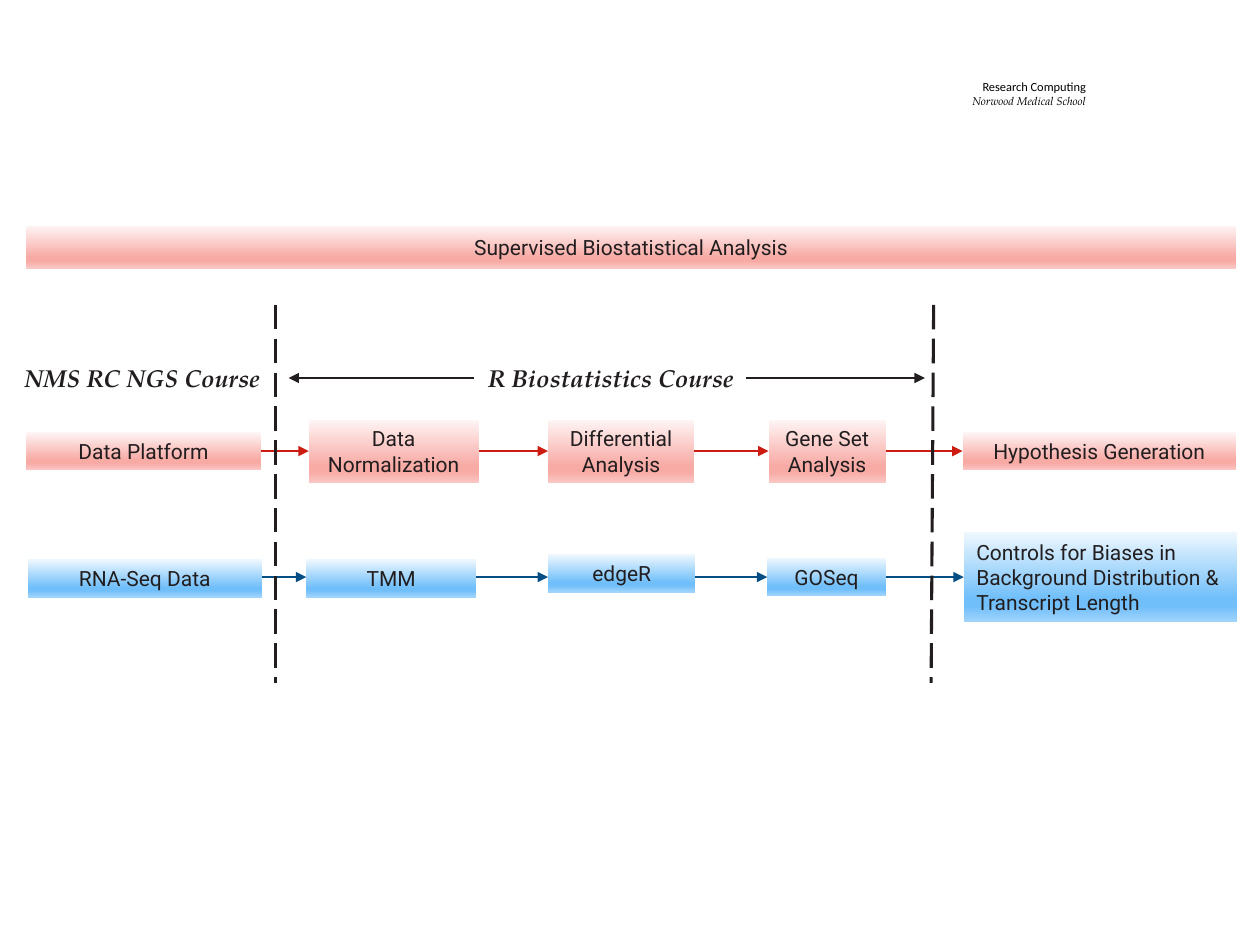
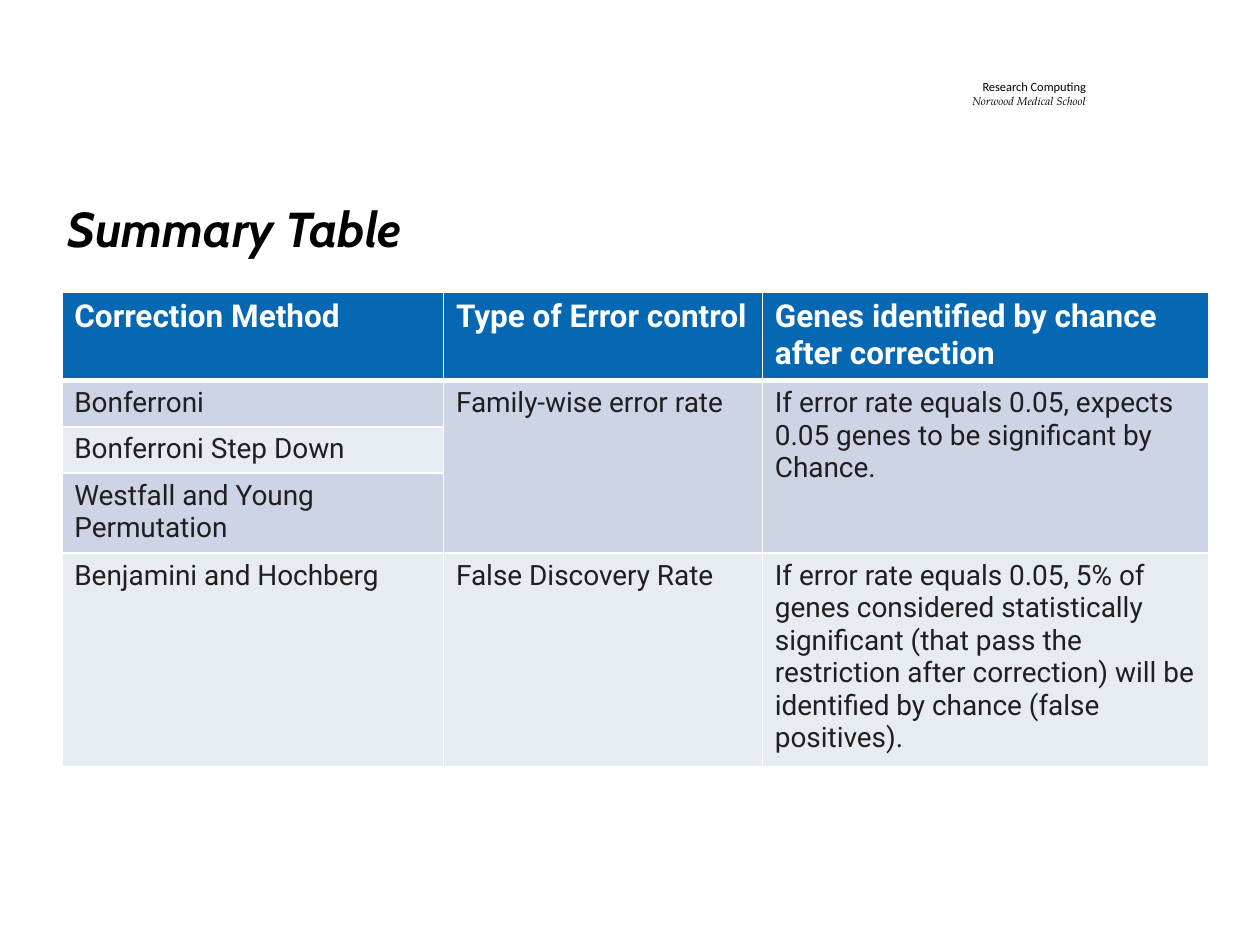
from itertools import pairwise

from lxml.etree import SubElement
from pptx import Presentation
from pptx.dml.color import RGBColor
from pptx.enum.dml import MSO_LINE
from pptx.enum.shapes import MSO_CONNECTOR, MSO_SHAPE
from pptx.enum.text import MSO_ANCHOR, PP_ALIGN
from pptx.oxml.ns import qn
from pptx.util import Inches, Pt

COLORS = {
    "black": "000000",
    "white": "FFFFFF",
    "ink": "221E1F",
    "red": "CC1B10",
    "blue": "054E86",
    "header": "0668B3",
    "band_dark": "CCD4E5",
    "band_light": "E7EBF2",
}
GRADIENTS = {
    "red": ["FEF5F5", "F8AAA5", "F8AAA5", "FAC6C3"],
    "blue": ["EFF8FE", "71BFFA", "71BFFA", "A1D4FC"],
}
GRADIENT_STOPS = [0, 74, 83, 100]
SANS, SERIF = "Roboto", "TeX Gyre Pagella"

RED_STEPS = [
    ("Data Platform", 0, 0, 1.86, 0.3),
    ("Data\nNormalization", 2.24, 0, 1.35, 0.5),
    ("Differential\nAnalysis", 4.14, 0, 1.16, 0.5),
    ("Gene Set\nAnalysis", 5.89, 0, 0.93, 0.5),
    ("Hypothesis Generation", 7.43, 0, 2.17, 0.3),
]
BLUE_STEPS = [
    ("RNA-Seq Data", 0, 0.01, 1.86, 0.3),
    ("TMM", 2.21, 0.01, 1.35, 0.3),
    ("edgeR", 4.13, -0.03, 1.17, 0.3),
    ("GOSeq", 5.87, 0, 0.94, 0.3),
    ("Controls for Biases in Background Distribution & Transcript Length", 7.43, 0, 2.17, 0.71),
]
TABLE_ROWS = [
    ["Correction Method", "Type of Error control", "Genes identified by chance after correction"],
    [
        "Bonferroni",
        "Family-wise error rate",
        "If error rate equals 0.05, expects\n0.05 genes to be significant by\nChance.",
    ],
    ["Bonferroni Step Down"],
    ["Westfall and Young\nPermutation"],
    [
        "Benjamini and Hochberg",
        "False Discovery Rate",
        "If error rate equals 0.05, 5% of\ngenes considered statistically\nsignificant (that pass the\n"
        "restriction after correction) will be identified by chance (false\npositives).",
    ],
]
COLUMN_WIDTHS = [3.03, 2.53, 3.54]
ROW_HEIGHTS = [0.67, 0.35, 0.35, 0.6, 1.6]


def rgb(name):
    return RGBColor.from_string(COLORS[name])


def write_text(frame, text, size=12, font=SANS, color="ink", bold=False, italic=False, align=PP_ALIGN.LEFT):
    for line in text.split("\n"):
        last = frame.paragraphs[-1]
        paragraph = frame.add_paragraph() if last.runs else last
        paragraph.alignment = align
        run = paragraph.add_run()
        run.text = line
        run.font.size = Pt(size)
        run.font.name = font
        run.font.bold = bold
        run.font.italic = italic
        run.font.color.rgb = rgb(color)


def add_text_box(slide, left, top, width, height):
    frame = slide.shapes.add_textbox(Inches(left), Inches(top), Inches(width), Inches(height)).text_frame
    frame.word_wrap = True
    return frame


def add_gradient_box(slide, text, left, top, width, height, tone, align=PP_ALIGN.CENTER):
    shape = slide.shapes.add_shape(
        MSO_SHAPE.RECTANGLE, Inches(left), Inches(top), Inches(width), Inches(height)
    )
    shape.shadow.inherit = False
    shape.line.fill.background()
    shape.fill.gradient()
    shape.fill.gradient_angle = 270
    stop_list = shape._element.spPr.find(qn("a:gradFill")).find(qn("a:gsLst"))
    for stop in list(stop_list):
        stop_list.remove(stop)
    for position, color in zip(GRADIENT_STOPS, GRADIENTS[tone]):
        stop = SubElement(stop_list, qn("a:gs"), pos=str(position * 1000))
        SubElement(stop, qn("a:srgbClr"), val=color)
    shape.text_frame.word_wrap = True
    shape.text_frame.vertical_anchor = MSO_ANCHOR.MIDDLE
    write_text(shape.text_frame, text, align=align)


def add_line(slide, start, end, color="ink", width=0.75, arrow=True, dash=None):
    connector = slide.shapes.add_connector(MSO_CONNECTOR.STRAIGHT, *map(Inches, (*start, *end)))
    connector.line.color.rgb = rgb(color)
    connector.line.width = Pt(width)
    if dash:
        connector.line.dash_style = dash
    if arrow:
        SubElement(connector.line._get_or_add_ln(), qn("a:tailEnd"), type="triangle")
    SubElement(connector._element.spPr, qn("a:effectLst"))


def add_header(slide):
    frame = add_text_box(slide, 6.15, 0.41, 2.53, 0.66)
    frame.vertical_anchor = MSO_ANCHOR.MIDDLE
    frame.margin_left = frame.margin_right = Inches(0.06)
    frame.margin_top = frame.margin_bottom = Inches(0.03)
    write_text(frame, "Research Computing", size=7.1, font="Calibri", color="black", align=PP_ALIGN.RIGHT)
    write_text(
        frame, "Norwood Medical School", size=6.5, font=SERIF, color="black", italic=True,
        align=PP_ALIGN.RIGHT,
    )


def add_pipeline(slide, left, middle, steps, tone):
    for text, offset, shift, width, height in steps:
        align = PP_ALIGN.LEFT if height > 0.5 else PP_ALIGN.CENTER
        add_gradient_box(
            slide, text, left + offset, middle + shift - height / 2, width, height, tone, align
        )
    for source, target in pairwise(steps):
        start = left + source[1] + source[3]
        add_line(slide, (start, middle), (left + target[1], middle), color=tone)


def add_course_labels(slide, left, top):
    labels = [("NMS RC NGS Course", left, 2.26), ("R Biostatistics Course", left + 2.41, 4.88)]
    for text, label_left, width in labels:
        frame = add_text_box(slide, label_left, top, width, 0.34)
        write_text(frame, text, size=14, font=SERIF, bold=True, italic=True, align=PP_ALIGN.CENTER)
    middle = top + 0.17
    add_line(slide, (left + 3.76, middle), (left + 2.29, middle))
    add_line(slide, (left + 5.92, middle), (left + 7.34, middle))


def add_dividers(slide, top, height):
    for start, end in [(2.19, 2.19), (7.41, 7.39)]:
        add_line(
            slide, (start, top), (end, top + height), width=1.75, arrow=False, dash=MSO_LINE.LONG_DASH
        )


def set_borders(cell, bottom):
    properties = cell._tc.get_or_add_tcPr()
    for index, (side, width) in enumerate([("L", 1), ("R", 1), ("T", 1), ("B", bottom)]):
        line = properties.makeelement(qn(f"a:ln{side}"), {"w": str(Pt(width))})
        fill = SubElement(line, qn("a:solidFill"))
        SubElement(fill, qn("a:srgbClr"), val=COLORS["white"])
        properties.insert(index, line)


def add_summary_table(slide, left, top):
    table = slide.shapes.add_table(
        len(ROW_HEIGHTS), len(COLUMN_WIDTHS),
        Inches(left), Inches(top), Inches(sum(COLUMN_WIDTHS)), Inches(sum(ROW_HEIGHTS)),
    ).table
    for column, width in zip(table.columns, COLUMN_WIDTHS):
        column.width = Inches(width)
    for row, height in zip(table.rows, ROW_HEIGHTS):
        row.height = Inches(height)
    for column in (1, 2):
        table.cell(1, column).merge(table.cell(3, column))
    for row_index, texts in enumerate(TABLE_ROWS):
        heading = row_index == 0
        band = "header" if heading else "band_dark" if row_index % 2 else "band_light"
        for column in range(len(COLUMN_WIDTHS)):
            cell = table.cell(row_index, column)
            cell.fill.solid()
            cell.fill.fore_color.rgb = rgb(band)
            set_borders(cell, bottom=3 if heading else 1)
            if column < len(texts):
                write_text(
                    cell.text_frame, texts[column], size=18 if heading else 16,
                    color="white" if heading else "ink", bold=heading,
                )


def build_workflow_slide(slide):
    add_header(slide)
    add_pipeline(slide, 0.21, 3.58, RED_STEPS, "red")
    add_pipeline(slide, 0.22, 4.58, BLUE_STEPS, "blue")
    add_gradient_box(slide, "Supervised Biostatistical Analysis", 0.21, 1.79, 9.6, 0.34, "red")
    add_dividers(slide, 2.42, 3)
    add_course_labels(slide, 0, 2.83)


def build_summary_slide(slide):
    add_header(slide)
    add_summary_table(slide, 0.49, 2.32)
    title = add_text_box(slide, 0.44, 1.53, 7.37, 0.57)
    write_text(title, "Summary Table", size=28, font="Cabin", color="black", bold=True, italic=True)


def main():
    presentation = Presentation()
    presentation.slide_width = Inches(10)
    presentation.slide_height = Inches(7.5)
    for build in (build_workflow_slide, build_summary_slide):
        build(presentation.slides.add_slide(presentation.slide_layouts[6]))
    presentation.save("out.pptx")


if __name__ == "__main__":
    main()
